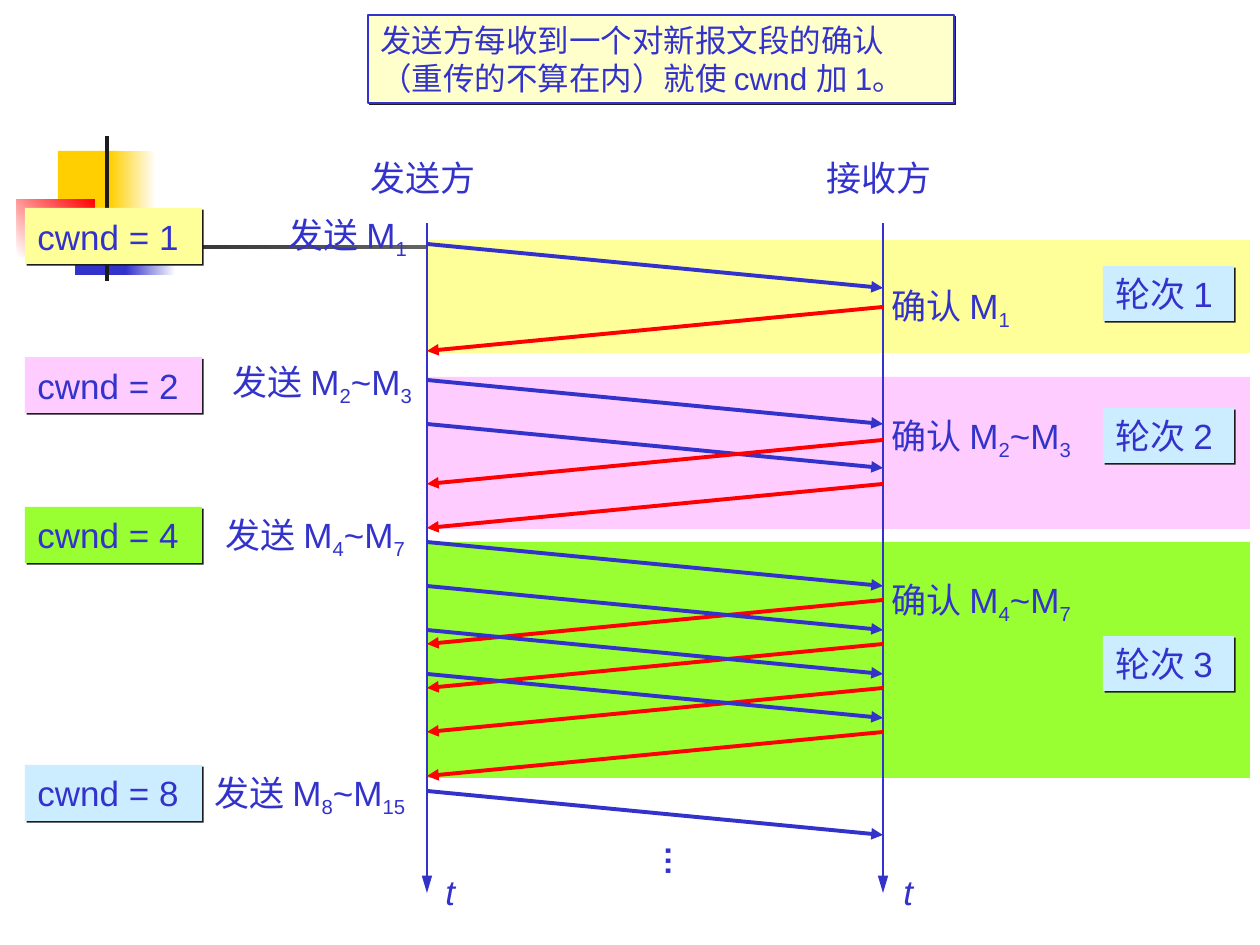
from lxml.etree import SubElement
from pptx import Presentation
from pptx.dml.color import RGBColor
from pptx.enum.shapes import MSO_CONNECTOR as Connector, MSO_SHAPE as Shape
from pptx.enum.text import MSO_ANCHOR as Anchor, PP_ALIGN as Align
from pptx.oxml.ns import qn
from pptx.util import Emu, Pt

EMU_PER_PX = 914400 / 126
BLUE, RED, INK, WHITE = "3333CC", "FF0000", "1C1C1C", "FFFFFF"
YELLOW, PINK, GREEN, SKY = "FFFF99", "FFCCFF", "99FF33", "CCECFF"


def px(length):
    return Emu(round(length * EMU_PER_PX))


def rgb(value):
    return RGBColor.from_string(value)


class Deck:
    """Style and current slide."""
    font, color, size = "Arial", BLUE, 20

    def __init__(self, width, height):
        self.file = Presentation()
        self.file.slide_width, self.file.slide_height = px(width), px(height)
        self.slide = self.file.slides.add_slide(self.file.slide_layouts[6])

    def block(self, box, fill):
        rect = self.slide.shapes.add_shape(Shape.RECTANGLE, *map(px, box))
        rect.shadow.inherit = False
        rect.fill.solid()
        rect.fill.fore_color.rgb = rgb(fill)
        rect.line.fill.background()
        return rect

    def fade(self, box, start, end, angle=0):
        rect = self.block(box, start)
        rect.fill.gradient()
        rect.fill.gradient_angle = angle
        for stop, color in zip(rect.fill.gradient_stops, (start, end)):
            stop.color.rgb = rgb(color)

    def set_text(self, shape, lines, size=None, bold=False, italic=False):
        """Each line is a list of runs; every second run is a subscript."""
        frame = shape.text_frame
        frame.word_wrap = False
        for number, runs in enumerate(lines):
            paragraph = frame.add_paragraph() if number else frame.paragraphs[0]
            paragraph.alignment = Align.LEFT
            for index, text in enumerate(runs):
                run = paragraph.add_run()
                run.text = text
                run.font.name = self.font
                run.font.size = Pt(size or self.size)
                run.font.bold, run.font.italic = bold, italic
                run.font.color.rgb = rgb(self.color)
                if index % 2:
                    run.font._element.set("baseline", "-25000")

    def label(self, box, *runs, **style):
        text_box = self.slide.shapes.add_textbox(*map(px, box))
        self.set_text(text_box, [runs], **style)
        return text_box

    def card(self, box, fill, *lines, outline=None, **style):
        """Text on a rectangle with a hard drop shadow."""
        rect = self.block(box, fill)
        if outline:
            rect.line.color.rgb = rgb(outline)
            rect.line.width = Pt(0.75)
        effects = rect._element.spPr.find(qn("a:effectLst"))
        shadow = SubElement(effects, qn("a:outerShdw"), blurRad="0",
                            dist="17961", dir="2700000", algn="ctr", rotWithShape="0")
        SubElement(shadow, qn("a:srgbClr"), val=INK)
        rect.text_frame.vertical_anchor = Anchor.MIDDLE
        self.set_text(rect, [[line] for line in lines], **style)

    def arrow(self, start, end, color, width, head_length="med"):
        line = self.slide.shapes.add_connector(
            Connector.STRAIGHT, *map(px, (*start, *end)))
        line.line.color.rgb = rgb(color)
        line.line.width = Pt(width)
        SubElement(line.line._get_or_add_ln(), qn("a:tailEnd"),
                   type="triangle", w="med", len=head_length)
        SubElement(line._element.spPr, qn("a:effectLst"))


def main():
    deck = Deck(1260, 945)
    sender, receiver = 427, 883
    step = 44

    # Corner ornament
    deck.block((58, 151, 60, 66), "FFCF01")
    deck.fade((110, 151, 46, 66), "FFCF01", WHITE)
    deck.block((75, 209, 58, 66), BLUE)
    deck.fade((126, 209, 50, 66), BLUE, WHITE)
    deck.fade((17, 199, 78, 58), WHITE, RED, angle=45)
    deck.block((105, 136, 4, 145), INK)
    deck.fade((60, 245, 1134, 4), INK, WHITE)

    # Bands of the three rounds
    for top, height, fill in ((377, 152, PINK), (542, 236, GREEN), (240, 113, YELLOW)):
        deck.block((sender, top, 823, height), fill)

    # Time axes
    for axis, name, name_left, time_left in ((sender, "发送方", 358, 433),
                                             (receiver, "接收方", 814, 891)):
        deck.label((name_left, 150, 130, 55), name)
        deck.arrow((axis, 223), (axis, 893), BLUE, 0.75, "lg")
        deck.label((time_left, 864, 35, 54), "t", italic=True)

    # Segments and acknowledgements: colour, first start, count
    flows = ((BLUE, 244, 1), (BLUE, 380, 2), (BLUE, 791, 1),
             (RED, 307, 1), (RED, 440, 2), (RED, 600, 4), (BLUE, 542, 4))
    for color, first, count in flows:
        origin, target = (sender, receiver) if color == BLUE else (receiver, sender)
        for index in range(count):
            start = first + index * step
            deck.arrow((origin, start), (target, start + step), color, 2.25)

    # Sent segments
    for left, top, width, *numbers in ((276, 207, 151, "1"), (220, 354, 213, "2", "~M", "3"),
                                       (213, 507, 213, "4", "~M", "7"),
                                       (202, 765, 224, "8", "~M", "15")):
        deck.label((left, top, width, 60), "发送 M", *numbers)

    # Confirmed segments
    for top, width, *numbers in ((278, 152, "1"), (408, 218, "2", "~M", "3"),
                                 (572, 218, "4", "~M", "7")):
        deck.label((879, top, width, 60), "确认 M", *numbers)

    # Congestion windows and round numbers
    for window, top, fill in ((1, 208, YELLOW), (2, 357, PINK), (4, 507, GREEN), (8, 765, SKY)):
        deck.card((25, top, 177, 56), fill, f"cwnd = {window}")
    for number, top in enumerate((266, 408, 636), start=1):
        deck.card((1103, top, 131, 55), SKY, f"轮次 {number}")

    # Continuation dots
    deck.label((650, 837, 57, 50), "…", size=18, bold=True).rotation = 90

    # Rule at the top
    deck.card((368, 15, 586, 88), "FFFFCC", "发送方每收到一个对新报文段的确认",
              "（重传的不算在内）就使 cwnd 加 1。", outline=BLUE, size=18)

    deck.file.save("out.pptx")


if __name__ == "__main__":
    main()
